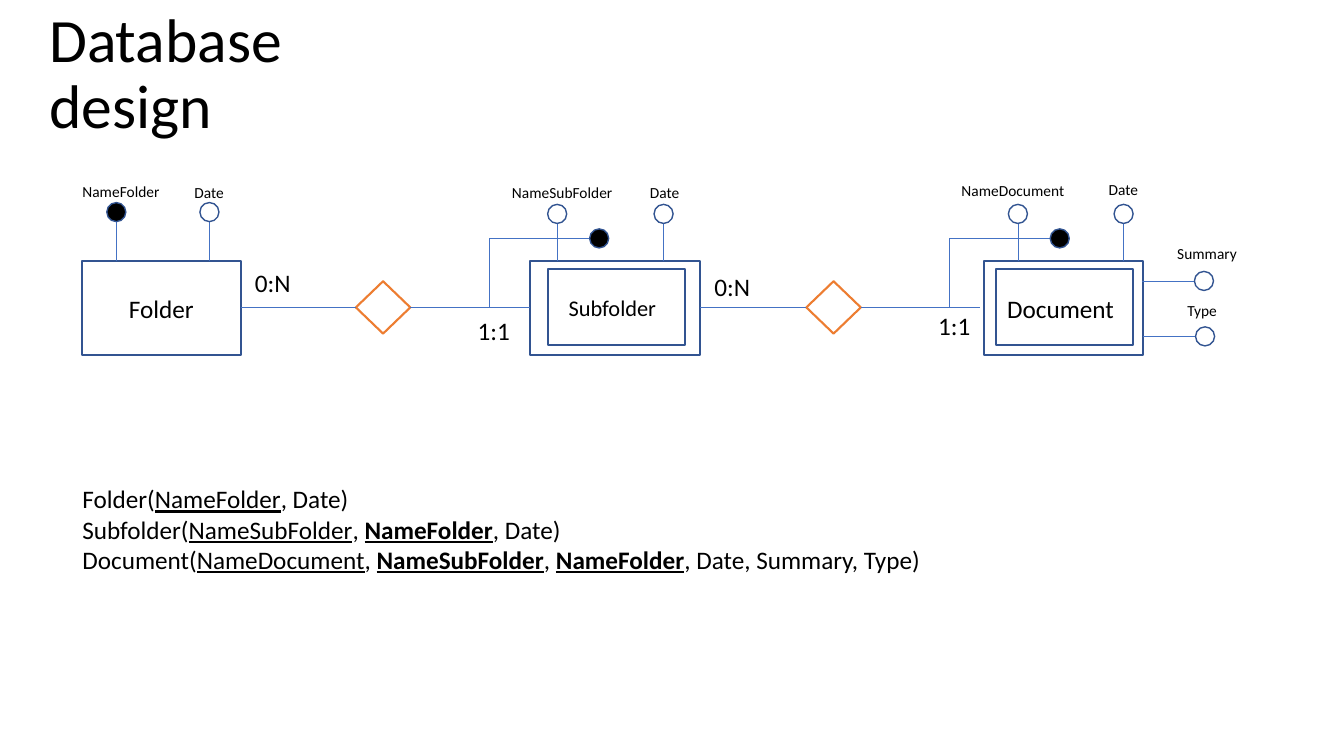
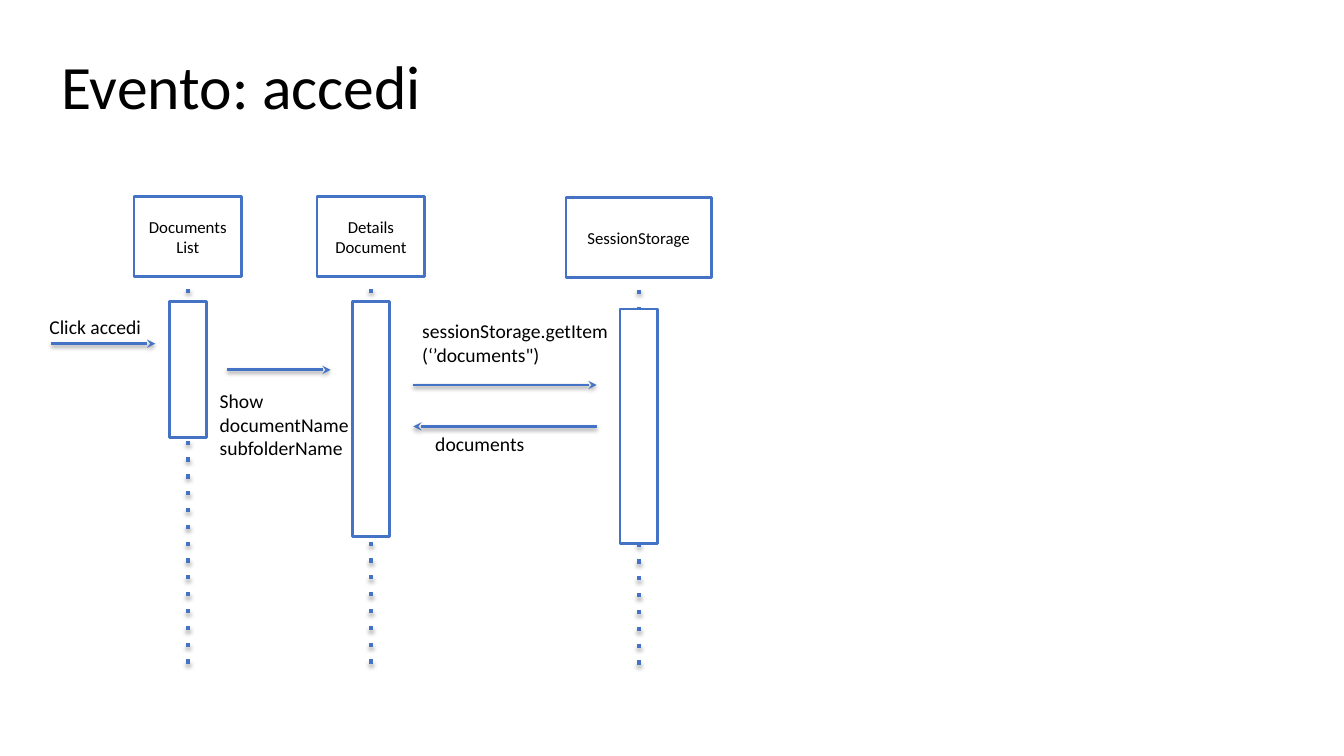
from dataclasses import dataclass

import lxml.etree
import pptx
import pptx.dml.color
import pptx.enum.shapes
import pptx.enum.text
import pptx.oxml.ns
import pptx.util

Pt = pptx.util.Pt
RGB = pptx.dml.color.RGBColor.from_string
Shape = pptx.enum.shapes.MSO_SHAPE
Align = pptx.enum.text.PP_ALIGN
Anchor = pptx.enum.text.MSO_ANCHOR
qn = pptx.oxml.ns.qn


@dataclass(frozen=True)
class Theme:
    font: str = "Calibri"
    ink: str = "000000"
    paper: str = "FFFFFF"
    blue: str = "4472C4"
    navy: str = "325491"
    orange: str = "ED7D31"
    title: float = 44
    body: float = 18
    entity: float = 16
    message: float = 14
    header: float = 12
    attribute: float = 11


theme = Theme()


def add_box(slide, box, text="", size=theme.body, kind=None, fill=None, outline=None,
            weight=1.5, anchor=Anchor.TOP, inset=(7.2, 3.6)):
    """Add a preset shape, or a plain text box when kind is None."""
    lengths = [Pt(value) for value in box]
    if kind is None:
        shape = slide.shapes.add_textbox(*lengths)
    else:
        shape = slide.shapes.add_shape(kind, *lengths)
        shape.shadow.inherit = False
        if fill:
            shape.fill.solid()
            shape.fill.fore_color.rgb = RGB(fill)
        else:
            shape.fill.background()
        shape.line.color.rgb = RGB(outline)
        shape.line.width = Pt(weight)
    frame = shape.text_frame
    frame.word_wrap = True
    frame.vertical_anchor = anchor
    frame.margin_left = frame.margin_right = Pt(inset[0])
    frame.margin_top = frame.margin_bottom = Pt(inset[1])
    frame.text = text
    for paragraph in frame.paragraphs:
        paragraph.alignment = Align.LEFT if kind is None else Align.CENTER
        paragraph.font.name = theme.font
        paragraph.font.size = Pt(size)
        paragraph.font.color.rgb = RGB(theme.ink)
    return shape


def add_line(slide, start, end, weight=0.5, dash=None, arrow=None, shadow=None):
    """Add a blue line; shadow is (opacity in percent, distance in points)."""
    line = slide.shapes.add_connector(pptx.enum.shapes.MSO_CONNECTOR.STRAIGHT,
                                      *[Pt(value) for value in (*start, *end)])
    line.line.color.rgb = RGB(theme.blue)
    line.line.width = Pt(weight)
    properties = line._element.spPr
    outline = properties.find(qn("a:ln"))
    if dash:
        lxml.etree.SubElement(outline, qn("a:prstDash"), val=dash)
    if arrow:
        lxml.etree.SubElement(outline, qn("a:tailEnd"), type=arrow)
    effects = lxml.etree.SubElement(properties, qn("a:effectLst"))
    if shadow:
        opacity, distance = shadow
        outer = lxml.etree.SubElement(effects, qn("a:outerShdw"), blurRad=str(Pt(3.1)),
                                      dist=str(Pt(distance)), dir="5400000", rotWithShape="0")
        color = lxml.etree.SubElement(outer, qn("a:srgbClr"), val=theme.ink)
        lxml.etree.SubElement(color, qn("a:alpha"), val=str(opacity * 1000))


presentation = pptx.Presentation()
presentation.slide_width = Pt(960)
presentation.slide_height = Pt(540)

slides = []
for title, box in [("Database design", (28, 9.5, 295, 89)),
                   ("Evento: accedi", (36.7, 11.5, 828, 104.4))]:
    slide = presentation.slides.add_slide(presentation.slide_layouts[6])
    heading = add_box(slide, box, title, theme.title, anchor=Anchor.MIDDLE)
    heading.text_frame.paragraphs[0].line_spacing = 0.9
    slides.append(slide)
database, event = slides

# Entities and relationships
axis = 219.6
entity_top, entity_height = 186.5, 67
for name, left, width, size, inner_left in [
    ("Folder", 58.3, 113.8, theme.body, None),
    ("Subfolder ", 378.7, 121, theme.entity, 391.7),
    ("Document ", 702.7, 113.8, theme.body, 711.4),
]:
    add_box(database, (left, entity_top, width, entity_height), name, size,
            Shape.RECTANGLE, outline=theme.navy, anchor=Anchor.MIDDLE)
    if inner_left:
        add_box(database, (inner_left, 192.2, 97.9, 54), kind=Shape.RECTANGLE,
                outline=theme.navy)

diamond_width, diamond_height = 38.9, 37.4
for left, start, end in [(254.2, 172.1, 378.7), (576, 500, 700)]:
    add_box(database, (left, axis - diamond_height / 2, diamond_width, diamond_height),
            kind=Shape.DIAMOND, fill=theme.paper, outline=theme.orange)
    add_line(database, (start, axis), (left, axis))
    add_line(database, (left + diamond_width, axis), (end, axis))

for text, left, top in [("0:N", 175, 187.2), ("0:N", 503.3, 190.1),
                        ("1:1", 334.1, 221.8), ("1:1", 663.1, 218.2)]:
    add_box(database, (left, top, 42, 29), text)

# Attributes: label corner, then circle corner, then the far end of its line
diameter = 13.6
radius = diameter / 2
for name, label, circle, line_end, fill in [
    ("NameFolder", (51.8, 126.7), (76.3, 144.7), (83.1, entity_top), theme.ink),
    ("Date", (131.8, 127.4), (142.8, 144.7), (149.6, entity_top), None),
    ("NameSubFolder", (358.6, 127.4), (391.2, 146), (398, entity_top), None),
    ("Date", (457.2, 127.4), (467.2, 146), (474, entity_top), None),
    ("NameDocument", (679.7, 126), (720.3, 146), (727.1, entity_top), None),
    ("Date", (784.8, 125.3), (795.8, 146), (802.6, entity_top), None),
    ("Summary", (833.8, 170.6), (853.2, 193.9), (816, 200.7), None),
    ("Type", (841, 211.7), (854, 233.5), (816.8, 240.3), None),
]:
    left, top = circle
    vertical = line_end[1] == entity_top
    line_start = (left + radius, top + diameter) if vertical else (left, top + radius)
    add_line(database, line_start, line_end)
    add_box(database, (*circle, diameter, diameter), kind=Shape.OVAL, fill=fill,
            outline=theme.navy, weight=1)
    add_box(database, (*label, 95, 21), name, theme.attribute)

# Composite identifiers
key_y = 170.3
for corner in (349.4, 678.4):
    dot_left = corner + 71.8
    add_line(database, (dot_left, key_y), (corner, key_y))
    add_line(database, (corner, key_y), (corner, axis))
    add_box(database, (dot_left, key_y - radius, diameter, diameter), kind=Shape.OVAL,
            fill=theme.ink, outline=theme.navy, weight=1)

# Relational schema: each table with its own key, foreign keys and other fields
schema = add_box(database, (51.8, 342, 640, 73), "\n\n")
for paragraph, (table, key, foreign_keys, fields) in zip(schema.text_frame.paragraphs, [
    ("Folder", "NameFolder", [], "Date"),
    ("Subfolder", "NameSubFolder", ["NameFolder"], "Date"),
    ("Document", "NameDocument", ["NameSubFolder", "NameFolder"], "Date, Summary, Type"),
]):
    paragraph.add_run().text = f"{table}("
    for name in [key, *foreign_keys]:
        run = paragraph.add_run()
        run.text = name
        run.font.underline = True
        if name != key:
            run.font.bold = True
        paragraph.add_run().text = ", "
    paragraph.add_run().text = f"{fields})"

# Sequence diagram: participants
wide_inset = (8.64, 4.32)
bar_width = 26.8
for name, center, width, top, bar_top, bar_height in [
    ("Documents\vList", 134.2, 77, 140.4, 215.3, 97.2),
    ("Details\nDocument", 265, 77, 140.4, 215.3, 167.8),
    ("SessionStorage", 456.2, 103.7, 141.1, 220.7, 167.8),
]:
    add_line(event, (center, top + 66.2), (center, top + 338.4), 3, dash="dot",
             shadow=(35, 1.8))
    add_box(event, (center - width / 2, top, width, 56.9), name, theme.header,
            Shape.RECTANGLE, theme.paper, theme.blue, 2, Anchor.MIDDLE, wide_inset)
    add_box(event, (center - bar_width / 2, bar_top, bar_width, bar_height),
            kind=Shape.RECTANGLE, fill=theme.paper, outline=theme.blue, weight=2)

# Sequence diagram: messages
for start, end, y in [(36.7, 110.9, 245.5), (162, 236.2, 264.2),
                      (295.2, 426.2, 275), (426.2, 295.2, 304.6)]:
    add_line(event, (start, y), (end, y), 2, arrow="stealth", shadow=(38, 1.6))

for text, box, inset in [
    ("Click accedi", (26.6, 220.3, 119.5, 18.7), wide_inset),
    ("Show\ndocumentName\nsubfolderName", (148.3, 273.6, 119.5, 57.6), wide_inset),
    ("sessionStorage.getItem\v(‘’documents\")", (294.5, 224.6, 152, 41), (7.2, 3.6)),
    ("documents", (303.8, 305.3, 118, 24.5), (7.2, 3.6)),
]:
    add_box(event, box, text, theme.message, inset=inset)

presentation.save("out.pptx")
